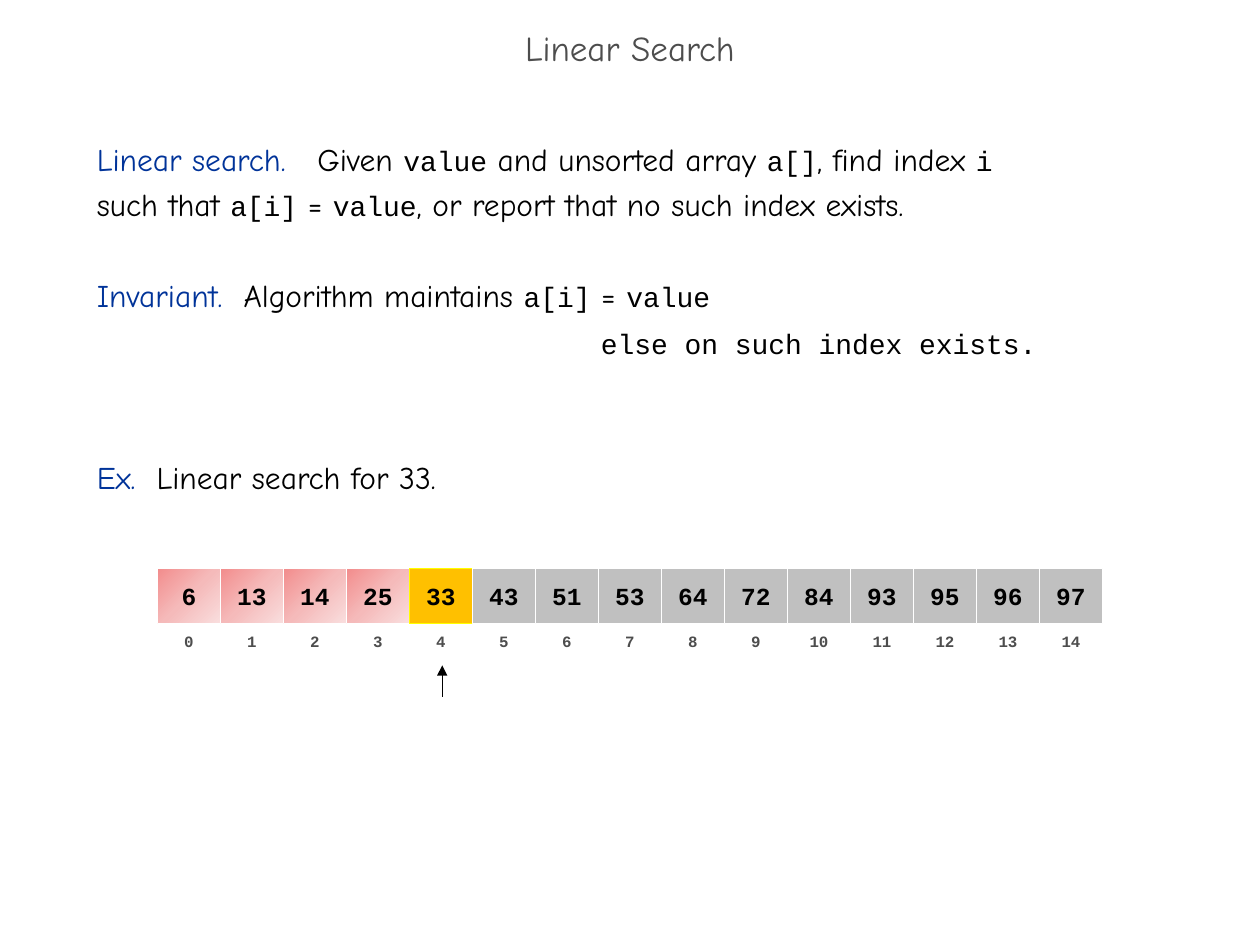
from copy import deepcopy

from pptx import Presentation
from pptx.dml.color import RGBColor
from pptx.enum import shapes, text
from pptx.oxml import ns, xmlchemy
from pptx.util import Inches, Pt

BLACK = RGBColor(0x00, 0x00, 0x00)
WHITE = RGBColor(0xFF, 0xFF, 0xFF)
GRAY = RGBColor(0x4D, 0x4D, 0x4D)
BLUE = RGBColor(0x00, 0x33, 0x99)
SILVER = RGBColor(0xC0, 0xC0, 0xC0)
AMBER = RGBColor(0xFF, 0xC0, 0x00)
YELLOW = RGBColor(0xFF, 0xFF, 0x00)
REDS = [RGBColor(0xF2, 0x8C, 0x8C), RGBColor(0xF5, 0xBA, 0xBA),
        RGBColor(0xF9, 0xDE, 0xDE)]

PROSE = "Comic Neue"
MONO = "Courier New"
TERM_STYLE = (PROSE, 18, BLUE)
PROSE_STYLE = (PROSE, 18, BLACK)
CODE_STYLE = (MONO, 16, BLACK)

VALUES = [6, 13, 14, 25, 33, 43, 51, 53, 64, 72, 84, 93, 95, 96, 97]
FOUND = 4
ARRAY_LEFT = 1.25
CELL_WIDTH = 0.5


def style_run(r, font, size, color, bold=False):
    r.font.name = font
    r.font.size = Pt(size)
    r.font.color.rgb = color
    r.font.bold = bold


def add_text_frame(slide, left, top, width, height):
    tf = slide.shapes.add_textbox(
        Inches(left), Inches(top), Inches(width), Inches(height)).text_frame
    tf.word_wrap = True
    return tf


def add_title(slide, title):
    tf = add_text_frame(slide, 0, 0.17, 10, 0.5)
    tf.vertical_anchor = text.MSO_ANCHOR.MIDDLE
    tf.text = title
    p = tf.paragraphs[0]
    p.alignment = text.PP_ALIGN.CENTER
    p.line_spacing = 0.7
    style_run(p.runs[0], PROSE, 20, GRAY)


def write_paragraph(p, lines, space_before=0, indent=0):
    """Fill p with lines, each a list of (text, style) pieces."""
    p.line_spacing = Pt(26)
    p.space_before = Pt(space_before)
    if indent:
        p._p.get_or_add_pPr().set("marL", str(Inches(indent)))
    for i, line in enumerate(lines):
        if i:
            p.add_line_break()
        for words, style in line:
            r = p.add_run()
            r.text = words
            style_run(r, *style)


def add_body(slide):
    tf = add_text_frame(slide, 0.67, 1, 8.58, 5.92)
    write_paragraph(tf.paragraphs[0], [
        [("Linear search.   ", TERM_STYLE), ("Given ", PROSE_STYLE),
         ("value", CODE_STYLE), (" and unsorted array ", PROSE_STYLE),
         ("a[]", CODE_STYLE), (", find index ", PROSE_STYLE),
         ("i", CODE_STYLE)],
        [("such that ", PROSE_STYLE), ("a[i]", CODE_STYLE),
         (" = ", PROSE_STYLE), ("value", CODE_STYLE),
         (", or report that no such index exists.", PROSE_STYLE)],
    ])
    write_paragraph(tf.add_paragraph(), [
        [("Invariant.  ", TERM_STYLE), ("Algorithm maintains ", PROSE_STYLE),
         ("a[i]", CODE_STYLE), (" = ", PROSE_STYLE), ("value", CODE_STYLE)],
    ], space_before=26)
    write_paragraph(tf.add_paragraph(), [
        [("else on such index exists.", CODE_STYLE)]], indent=4)
    write_paragraph(tf.add_paragraph(), [
        [("Ex.  ", TERM_STYLE), ("Linear search for 33.", PROSE_STYLE)],
    ], space_before=52)


def add_box(slide, index, top, height, label, size, color):
    """Add an unfilled, labelled box in the array column of index."""
    sp = slide.shapes.add_shape(
        shapes.MSO_SHAPE.RECTANGLE, Inches(ARRAY_LEFT + index * CELL_WIDTH),
        Inches(top), Inches(CELL_WIDTH), Inches(height))
    sp.shadow.inherit = False
    sp.fill.background()
    sp.line.color.rgb = WHITE
    sp.line.width = Pt(0.75)
    tf = sp.text_frame
    tf.word_wrap = False
    tf.vertical_anchor = text.MSO_ANCHOR.MIDDLE
    tf.text = str(label)
    p = tf.paragraphs[0]
    p.alignment = text.PP_ALIGN.CENTER
    style_run(p.runs[0], MONO, size, color, bold=True)
    return sp


def fill_gradient(sp, colors):
    """Fill sp with three evenly spaced colours, from top left down."""
    sp.fill.gradient()
    sp.fill.gradient_angle = 315
    stops = sp._element.spPr.find(".//" + ns.qn("a:gsLst"))
    stops.insert(1, deepcopy(stops[0]))
    for i, (stop, color) in enumerate(zip(sp.fill.gradient_stops, colors)):
        stop.position = i / 2
        stop.color.rgb = color


def add_array(slide):
    for i, value in enumerate(VALUES):
        add_box(slide, i, 4.99, 0.2, i, 9, GRAY)
        cell = add_box(slide, i, 4.51, 0.44, value, 14, BLACK)
        if i < FOUND:
            fill_gradient(cell, REDS)
        else:
            cell.fill.solid()
            cell.fill.fore_color.rgb = AMBER if i == FOUND else SILVER
        if i == FOUND:
            cell.line.color.rgb = YELLOW


def add_pointer(slide):
    x = Inches(3.51)
    arrow = slide.shapes.add_connector(
        shapes.MSO_CONNECTOR.STRAIGHT, x, Inches(5.53), x, Inches(5.28))
    arrow.line.color.rgb = BLACK
    arrow.line.width = Pt(0.75)
    tail = xmlchemy.OxmlElement("a:tailEnd")
    tail.set("type", "triangle")
    arrow.line._get_or_add_ln().append(tail)
    arrow._element.spPr.append(xmlchemy.OxmlElement("a:effectLst"))


def main():
    prs = Presentation()
    prs.slide_width = Inches(10)
    prs.slide_height = Inches(7.5)
    slide = prs.slides.add_slide(prs.slide_layouts[6])
    add_title(slide, "Linear Search")
    add_array(slide)
    add_pointer(slide)
    add_body(slide)
    prs.save("out.pptx")


if __name__ == "__main__":
    main()
